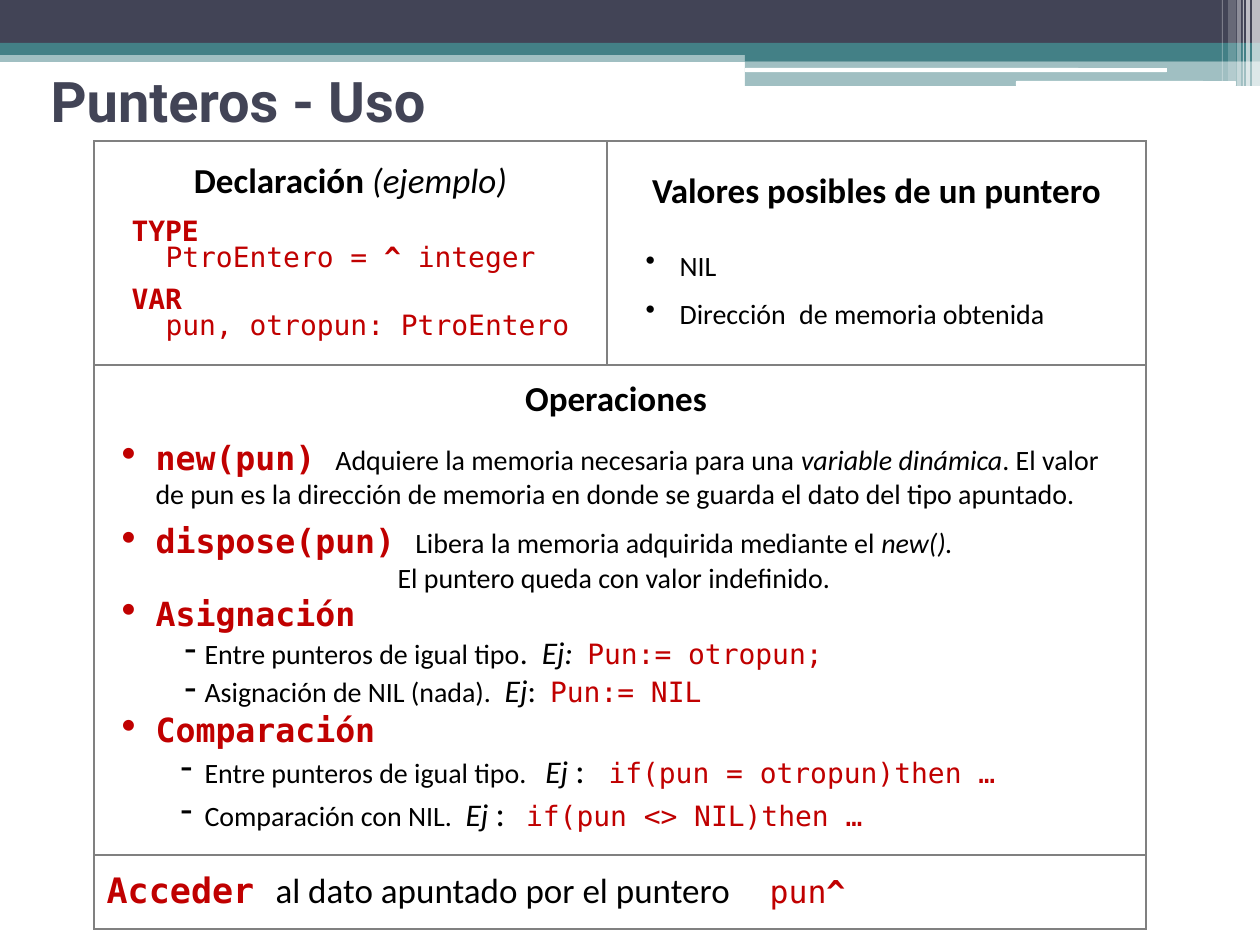
"""Builds the slide on the use of pointers: a title and a table under a decorated header."""
import pptx
import pptx.dml.color
import pptx.enum.shapes
import pptx.enum.text
import pptx.oxml
import pptx.oxml.ns
import pptx.util
from lxml import etree

NS = 'xmlns:a="http://schemas.openxmlformats.org/drawingml/2006/main"'
DARK, TEAL, WHITE, RED, BLACK, GREY = "424456", "438086", "FFFFFF", "C00000", "000000", "808080"


def px(n):
    return pptx.util.Emu(round(n * 914400 / 126))


def rgb(color):
    return pptx.dml.color.RGBColor.from_string(color)


prs = pptx.Presentation()
prs.slide_width, prs.slide_height = px(1260), px(945)
s = prs.slides.add_slide(prs.slide_layouts[5])

RECT = pptx.enum.shapes.MSO_SHAPE.RECTANGLE
ROUND = pptx.enum.shapes.MSO_SHAPE.ROUNDED_RECTANGLE
bars = [
    (RECT, 0, 50, 1260, 12, TEAL, 50),
    (RECT, 0, 0, 1260, 43, DARK, 100),
    (RECT, 0, 43, 1260, 12, TEAL, 100),
    (RECT, 745, 49, 515, 12, TEAL, 100),
    (RECT, 745, 61, 515, 25, TEAL, 50),
    (ROUND, 745, 68, 422, 4, WHITE, 100),
    (ROUND, 1016, 81, 220, 5, WHITE, 100),
    (RECT, 1252, 0, 8, 86, WHITE, 65),
    (RECT, 1246, 0, 4, 86, WHITE, 65),
    (RECT, 1243, 0, 1, 86, WHITE, 60),
    (RECT, 1237, 0, 4, 86, WHITE, 40),
    (RECT, 1228, 0, 8, 81, WHITE, 20),
    (RECT, 1222, 0, 1, 81, WHITE, 30),
]
for kind, x, y, w, h, color, opacity in bars:
    sp = s.shapes.add_shape(kind, px(x), px(y), px(w), px(h))
    sp.shadow.inherit = False
    sp.line.fill.background()
    sp.fill.solid()
    sp.fill.fore_color.rgb = rgb(color)
    if opacity < 100:
        clr = sp.fill._xPr.find(".//" + pptx.oxml.ns.qn("a:srgbClr"))
        etree.SubElement(clr, pptx.oxml.ns.qn("a:alpha"), val=str(opacity * 1000))

title = s.shapes.title
title.left, title.top, title.width, title.height = px(38), px(45), px(672), px(110)
tf = title.text_frame
tf.text = "Punteros - Uso"
tf.vertical_anchor = pptx.enum.text.MSO_ANCHOR.MIDDLE
p = tf.paragraphs[0]
p.alignment = pptx.enum.text.PP_ALIGN.LEFT
font = p.runs[0].font
font.name, font.size, font.bold = "Roboto", pptx.util.Pt(32), True
font.color.rgb = rgb(DARK)

# Format: left indent, first-line indent, line spacing, space before, space after, bullet, bullet size
formats = {
    "heading": (0, 0, 0.8, 0, 12, None, 100),
    "keyword": (25, 0, 0.8, 0, 0, None, 100),
    "next keyword": (25, 0, 0.8, 9, 0, None, 100),
    "code": (59, 0, 0.8, 0, 0, None, 100),
    "first value": (60, -34, 0.8, 13, 12, "•", 100),
    "value": (60, -34, 0.8, 0, 12, "•", 100),
    "first operation": (49, -34, 1, 0, 6, "•", 125),
    "operation": (49, -34, 1, 0, 0, "•", 125),
    "remark": (291, 0, 1, 0, 0, None, 100),
    "assignment": (98, -20, 1, 0, 0, "-", 125),
    "comparison": (98, -24, 1, 0, 0, "-", 125),
    "plain": (0, 0, 1, 0, 0, None, 100),
}

# Run: text, style (c Calibri black, m mono red, b bold, i italic), size, extra gap
cells = {
    (0, 0): [
        ("heading", [("Declaración ", "cb", 20), ("(ejemplo)", "ci", 20)]),
        ("keyword", [("TYPE", "mb", 16)]),
        ("code", [("PtroEntero = ", "m", 16), ("^ ", "mb", 16), ("integer", "m", 16)]),
        ("next keyword", [("VAR", "mb", 16)]),
        ("code", [("pun, otropun: PtroEntero", "m", 16)]),
    ],
    (0, 1): [
        ("heading", [("Valores posibles de un puntero", "cb", 20)]),
        ("first value", [("NIL", "c", 16)]),
        ("value", [("Dirección", "c", 16), (" ", "c", 16, 4), ("de memoria obtenida", "c", 16)]),
    ],
    (1, 0): [
        ("heading", [("Operaciones ", "cb", 20)]),
        ("first operation", [
            ("new(pun) ", "mb", 19), ("Adquiere la memoria necesaria para una ", "c", 16),
            ("variable dinámica", "ci", 16),
            (". El valor de pun es la dirección de memoria en donde se guarda el dato "
             "del tipo apuntado.", "c", 16)]),
        ("operation", [
            ("dispose(pun) ", "mb", 19), ("Libera la memoria adquirida mediante el ", "c", 16),
            ("new().", "ci", 16)]),
        ("remark", [("El puntero queda con valor indefinido.", "c", 16)]),
        ("operation", [("Asignación", "mb", 19)]),
        ("assignment", [
            ("Entre punteros de igual tipo", "c", 16), (".", "c", 18), (" ", "c", 18, 4),
            ("Ej:", "ci", 18), (" ", "ci", 18, 4), ("Pun:= otropun;", "m", 16)]),
        ("assignment", [
            ("Asignación de NIL (nada).", "c", 16), (" ", "c", 16, 4),
            ("Ej", "ci", 18), (":", "c", 18), (" ", "c", 18, 4), ("Pun:= NIL", "m", 16)]),
        ("operation", [("Comparación", "mb", 19)]),
        ("comparison", [
            ("Entre punteros de igual tipo.", "c", 16), (" ", "c", 16, 7),
            ("Ej ", "ci", 18), (":", "c", 20), (" ", "c", 20, 9),
            ("if(pun = otropun)then …", "m", 16)]),
        ("comparison", [
            ("Comparación con NIL.", "c", 16), (" ", "c", 16, 4),
            ("Ej ", "ci", 18), (":", "c", 20), (" ", "c", 18, 8),
            ("if(pun <> NIL)then …", "m", 16)]),
    ],
    (2, 0): [
        ("plain", [
            ("Acceder ", "mb", 20), ("al dato apuntado por el puntero", "c", 20),
            (" ", "c", 20, 18), ("pun", "m", 18), ("^", "mb", 18)]),
    ],
}

widths, heights = [513, 539], [224, 490, 74]
tbl = s.shapes.add_table(3, 2, px(94), px(141), px(sum(widths)), px(sum(heights))).table
tbl.first_row = tbl.horz_banding = False
for col, w in zip(tbl.columns, widths):
    col.width = px(w)
for row, h in zip(tbl.rows, heights):
    row.height = px(h)
for i in (1, 2):
    tbl.cell(i, 0).merge(tbl.cell(i, 1))

for cell in tbl.iter_cells():
    cell.vertical_anchor = pptx.enum.text.MSO_ANCHOR.MIDDLE
    cell.fill.background()
    tcPr = cell._tc.get_or_add_tcPr()
    for i, side in enumerate("LRTB"):
        tcPr.insert(i, pptx.oxml.parse_xml(
            f'<a:ln{side} {NS} w="12700"><a:solidFill><a:srgbClr val="{GREY}"/></a:solidFill></a:ln{side}>'))

for (i, j), paragraphs in cells.items():
    tf = tbl.cell(i, j).text_frame
    for n, (name, runs) in enumerate(paragraphs):
        p = tf.add_paragraph() if n else tf.paragraphs[0]
        left, indent, spacing, before, after, bullet, bullet_size = formats[name]
        if name == "heading":
            p.alignment = pptx.enum.text.PP_ALIGN.CENTER
        p.line_spacing = spacing
        p.space_before, p.space_after = pptx.util.Pt(before), pptx.util.Pt(after)
        pPr = p._p.get_or_add_pPr()
        pPr.set("marL", str(px(left)))
        pPr.set("indent", str(px(indent)))
        if bullet:
            pPr.append(pptx.oxml.parse_xml(f'<a:buSzPct {NS} val="{bullet_size * 1000}"/>'))
            pPr.append(pptx.oxml.parse_xml(f'<a:buChar {NS} char="{bullet}"/>'))
        for text, style, size, *gap in runs:
            r = p.add_run()
            r.text = text
            r.font.name = "DejaVu Sans Mono" if "m" in style else "Calibri"
            r.font.color.rgb = rgb(RED if "m" in style else BLACK)
            r.font.size = pptx.util.Pt(size)
            r.font.bold, r.font.italic = "b" in style, "i" in style
            if gap:
                r.font._element.set("spc", str(gap[0] * 100))

prs.save("out.pptx")
